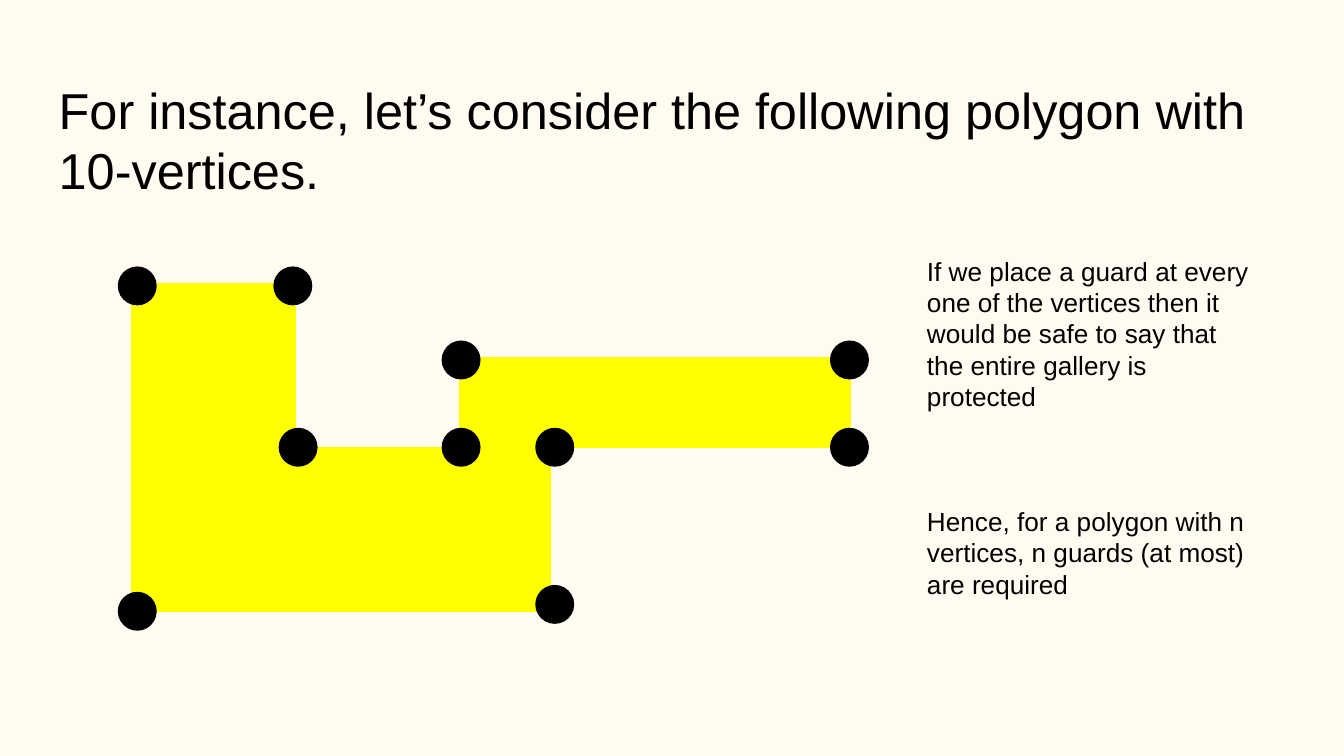
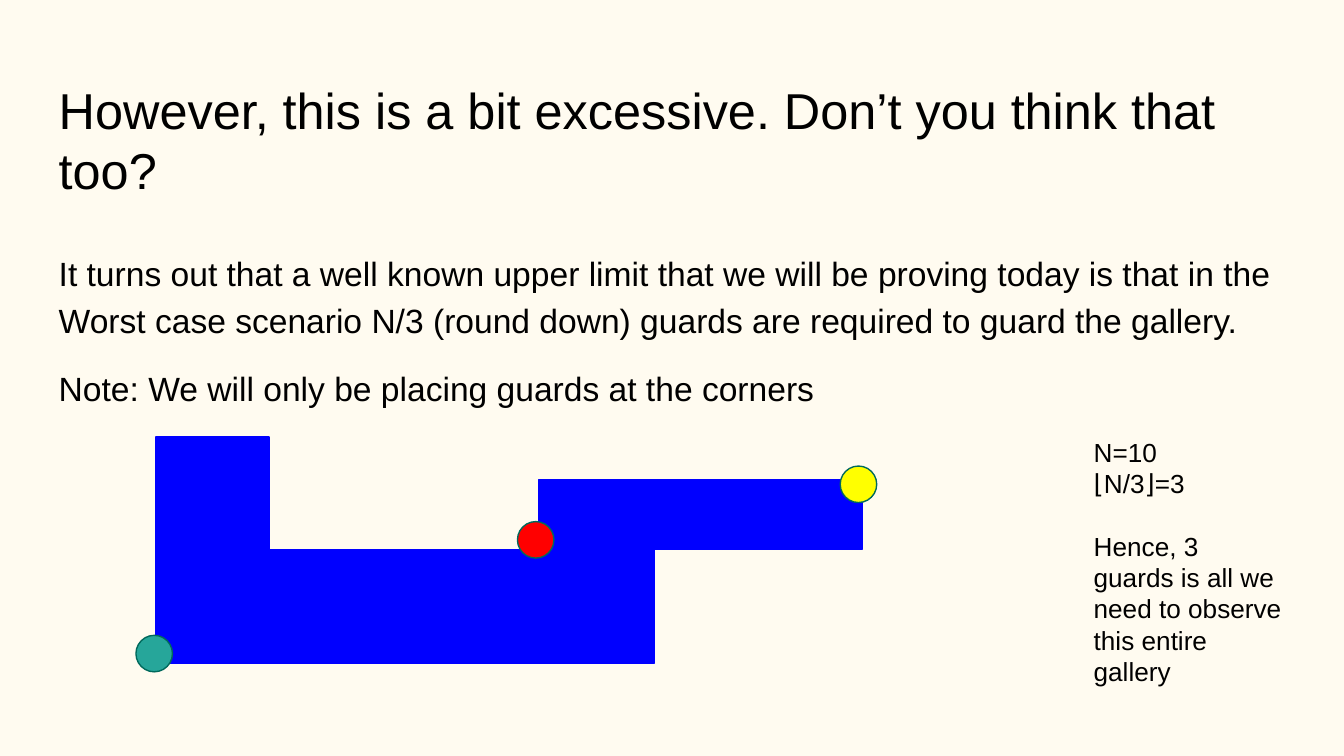
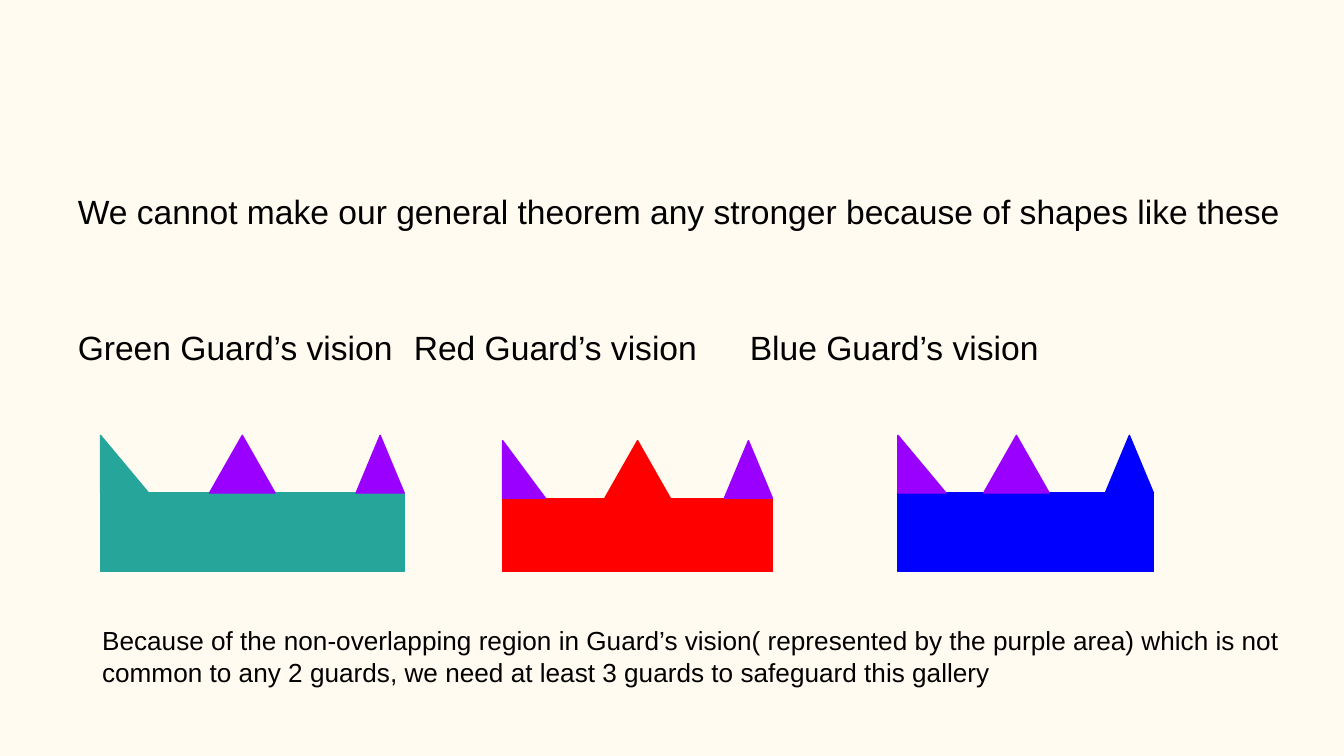
from lxml.etree import SubElement
from pptx import Presentation
from pptx.dml.color import RGBColor
from pptx.enum.shapes import MSO_SHAPE
from pptx.enum.text import MSO_ANCHOR, MSO_AUTO_SIZE, PP_ALIGN
from pptx.oxml.ns import qn
from pptx.util import Cm, Pt

CREAM = RGBColor(0xFF, 0xFB, 0xF0)
BLACK = RGBColor(0x00, 0x00, 0x00)
YELLOW = RGBColor(0xFF, 0xFF, 0x00)
BLUE = RGBColor(0x00, 0x00, 0xFF)
RED = RGBColor(0xFF, 0x00, 0x00)
GREEN = RGBColor(0x26, 0xA6, 0x9A)
DARK_GREEN = RGBColor(0x00, 0x69, 0x5C)
PURPLE = RGBColor(0x99, 0x00, 0xFF)

FONT = "Arial"
MARGIN = 0.25
TITLE_AREA = (0.86, 1.24, 23.67, 1.7)
BODY_AREA = (0.86, 3.25, 23.67, 9.45)
TITLE_AND_BODY, TITLE_ONLY = 1, 5

CORNER_DOT = 0.71
GUARD_DOT = 0.69
HALL_BOTTOM = 10.8
SPIKE_HEIGHT = 1.09
SIDE_SPIKE = 0.91
MIDDLE_SPIKE = 1.24


def place(shape, left, top, width, height):
    shape.left, shape.top = Cm(left), Cm(top)
    shape.width, shape.height = Cm(width), Cm(height)


def write(shape, lines, size, gaps=None, line_spacing=None,
          margin_left=MARGIN, margin_top=MARGIN, fit=MSO_AUTO_SIZE.NONE):
    frame = shape.text_frame
    frame.word_wrap = True
    frame.auto_size = fit
    frame.vertical_anchor = MSO_ANCHOR.TOP
    frame.margin_left, frame.margin_top = Cm(margin_left), Cm(margin_top)
    frame.margin_right = frame.margin_bottom = Cm(MARGIN)
    frame.text = "\n".join(lines)
    for para, gap in zip(frame.paragraphs, gaps or [0] * len(lines)):
        para.alignment = PP_ALIGN.LEFT
        para.space_before, para.space_after = Pt(gap), Pt(0)
        if line_spacing:
            para.line_spacing = line_spacing
        para.font.name = FONT
        para.font.size = Pt(size)
        para.font.color.rgb = BLACK


def add_title(page, text):
    place(page.shapes.title, *TITLE_AREA)
    write(page.shapes.title, [text], 27)


def add_body(page, lines, gaps, tabs=(), **margins):
    body = page.placeholders[1]
    place(body, *BODY_AREA)
    write(body, lines, 18, gaps, 1.15, **margins)
    for para in body.text_frame.paragraphs:
        properties = para._p.get_or_add_pPr()
        properties.set("marL", "0")
        properties.set("indent", "0")
        properties.insert_element_before(
            properties.makeelement(qn("a:buNone")), "a:tabLst", "a:defRPr", "a:extLst")
        if tabs:
            tab_list = properties.makeelement(qn("a:tabLst"))
            properties.insert_element_before(tab_list, "a:defRPr", "a:extLst")
            for position in tabs:
                SubElement(tab_list, qn("a:tab"), pos=str(Cm(position)), algn="l")


def add_note(page, area, lines, gaps=None):
    box = page.shapes.add_textbox(*map(Cm, area))
    write(box, lines, 14, gaps, fit=MSO_AUTO_SIZE.SHAPE_TO_FIT_TEXT)


def add_figure(page, kind, area, color, outline=None):
    shape = page.shapes.add_shape(kind, *map(Cm, area))
    shape.shadow.inherit = False
    shape.fill.solid()
    shape.fill.fore_color.rgb = color
    shape.line.color.rgb = outline or color
    shape.line.width = Pt(0.75)
    return shape


def add_gallery(page, l_area, wing_area, color):
    l_room = add_figure(page, MSO_SHAPE.RECTANGLE, l_area, color)
    l_room.element.spPr.find(qn("a:prstGeom")).set("prst", "corner")
    add_figure(page, MSO_SHAPE.RECTANGLE, wing_area, color)


def add_dot(page, left, top, size, color, outline=None):
    add_figure(page, MSO_SHAPE.OVAL, (left, top, size, size), color, outline)


def add_vision(page, left, top, width, middle_left, first_width, color, seen):
    hall_top = top + SPIKE_HEIGHT
    hall = (left, hall_top, width, HALL_BOTTOM - hall_top)
    add_figure(page, MSO_SHAPE.RECTANGLE, hall, color)
    spikes = [
        (MSO_SHAPE.RIGHT_TRIANGLE, left, first_width),
        (MSO_SHAPE.ISOSCELES_TRIANGLE, middle_left, MIDDLE_SPIKE),
        (MSO_SHAPE.ISOSCELES_TRIANGLE, left + width - SIDE_SPIKE, SIDE_SPIKE),
    ]
    for index, (kind, spike_left, spike_width) in enumerate(spikes):
        add_figure(page, kind, (spike_left, top, spike_width, SPIKE_HEIGHT),
                   color if index == seen else PURPLE)


def build_polygon_page(deck):
    page = deck.slides.add_slide(deck.slide_layouts[TITLE_ONLY])
    add_title(page, "For instance, let’s consider the following polygon with 10-vertices.")
    add_gallery(page, (2.49, 5.36, 7.92, 6.2), (8.69, 6.76, 7.39, 1.7), YELLOW)
    add_note(page, (17.27, 4.57, 6.71, 6.5), [
        "If we place a guard at every one of the vertices then it would be safe "
        "to say that the entire gallery is protected",
        "Hence, for a polygon with n vertices, n guards (at most) are required",
    ], [0, 50])
    corners = [
        (2.24, 5.05), (5.18, 5.05), (5.28, 8.1), (8.36, 8.1), (8.36, 6.45),
        (15.7, 6.45), (15.7, 8.1), (10.13, 8.1), (10.13, 11.07), (2.24, 11.2),
    ]
    for left, top in corners:
        add_dot(page, left, top, CORNER_DOT, BLACK)


def build_bound_page(deck):
    page = deck.slides.add_slide(deck.slide_layouts[TITLE_AND_BODY])
    add_title(page, "However, this is a bit excessive. Don’t you think that too?")
    add_body(page, [
        "It turns out that a well known upper limit that we will be proving today "
        "is that in the Worst case scenario N/3 (round down) guards are required "
        "to guard the gallery.",
        "Note: We will only be placing guards at the corners",
    ], [0, 12], margin_top=1.42)
    add_note(page, (20.42, 8, 4.11, 4.7), [
        "N=10",
        "⌊N/3⌋=3",
        "Hence, 3 guards is all we need to observe this entire gallery",
    ], [0, 0, 16.5])
    add_gallery(page, (2.95, 8.26, 9.42, 4.27), (10.19, 9.07, 6.1, 1.32), BLUE)
    guards = [(2.57, 12.01, GREEN), (9.78, 9.86, RED), (15.88, 8.81, YELLOW)]
    for left, top, color in guards:
        add_dot(page, left, top, GUARD_DOT, color, DARK_GREEN)


def build_vision_page(deck):
    page = deck.slides.add_slide(deck.slide_layouts[TITLE_AND_BODY])
    title = page.shapes.title.element
    title.getparent().remove(title)
    add_body(page, [
        "We cannot make our general theorem any stronger because of shapes like these",
        "Green Guard’s vision\tRed Guard’s vision\tBlue Guard’s vision",
    ], [0, 48], tabs=(8.07, 15.7), margin_left=0.61)
    visions = [
        (1.9, 8.23, 5.74, 3.96, 0.91, GREEN),
        (9.5, 8.33, 5.1, 11.43, 0.81, RED),
        (16.97, 8.23, 4.83, 18.59, 0.91, BLUE),
    ]
    for seen, vision in enumerate(visions):
        add_vision(page, *vision, seen)
    add_note(page, (1.68, 11.56, 22.86, 1.7), [
        "Because of the non-overlapping region in Guard’s vision( represented by "
        "the purple area) which is not common to any 2 guards, we need at least "
        "3 guards to safeguard this gallery",
    ])


def main():
    deck = Presentation()
    deck.slide_width, deck.slide_height = Cm(25.4), Cm(14.29)
    background = deck.slide_master.background.fill
    background.solid()
    background.fore_color.rgb = CREAM
    build_polygon_page(deck)
    build_bound_page(deck)
    build_vision_page(deck)
    deck.save("out.pptx")


if __name__ == "__main__":
    main()
